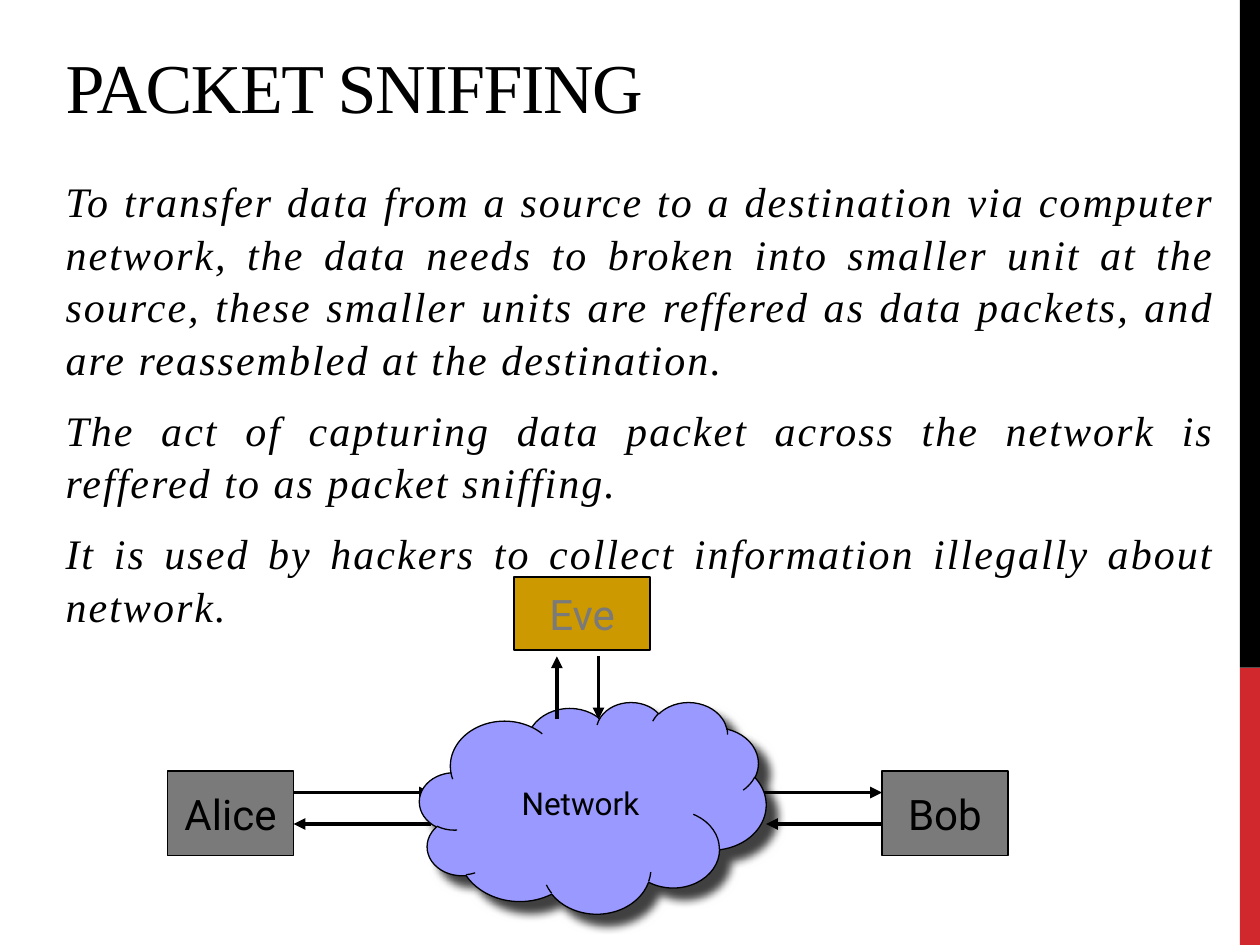
from lxml import etree
from pptx import Presentation
from pptx.dml.color import RGBColor
from pptx.enum import shapes, text
from pptx.oxml import ns
from pptx.util import Inches, Pt

SERIF, SANS = "Times New Roman", "Roboto"
BLACK, GREY, RED, GOLD, LILAC = "000000", "7A7A7A", "D1282E", "CC9900", "9999FF"
PACKETS = [
    "To transfer data from a source to a destination via computer network, the data needs "
    "to broken into smaller unit at the source, these smaller units are reffered as data "
    "packets, and are reassembled at the destination.",
    "The act of capturing data packet across the network is reffered to as packet sniffing.",
    "It is used by hackers to collect information illegally about network.",
]


def rgb(code):
    """Return the colour for a hex string."""
    return RGBColor.from_string(code)


def add_xml(parent, tag, **attributes):
    """Append a DrawingML element and return it."""
    return etree.SubElement(parent, ns.qn(tag), attributes)


def write(frame, paragraphs, font, size, color=BLACK, italic=False, tracking=0,
          align=text.PP_ALIGN.CENTER, anchor=text.MSO_ANCHOR.MIDDLE,
          wrap=True, before=0, after=0, leading=1.0):
    """Fill a text frame with evenly formatted paragraphs."""
    frame.word_wrap = wrap
    frame.auto_size = text.MSO_AUTO_SIZE.NONE
    frame.vertical_anchor = anchor
    for index, words in enumerate(paragraphs):
        paragraph = frame.add_paragraph() if index else frame.paragraphs[0]
        paragraph.alignment = align
        paragraph.space_before, paragraph.space_after = Pt(before), Pt(after)
        paragraph.line_spacing = leading
        run = paragraph.add_run()
        run.text = words
        run.font.name, run.font.size, run.font.italic = font, Pt(size), italic
        run.font.color.rgb = rgb(color)
        if tracking:
            run.font._element.set("spc", str(round(tracking * 100)))


def place(placeholder, left, top, width, height):
    """Move and size a placeholder."""
    placeholder.left, placeholder.top = Inches(left), Inches(top)
    placeholder.width, placeholder.height = Inches(width), Inches(height)


def add_block(slide, kind, left, top, width, height, fill, outlined=True):
    """Add a flat filled shape, outlined in black if wanted."""
    block = slide.shapes.add_shape(kind, Inches(left), Inches(top), Inches(width), Inches(height))
    block.shadow.inherit = False
    block.fill.solid()
    block.fill.fore_color.rgb = rgb(fill)
    if outlined:
        block.line.color.rgb = rgb(BLACK)
        block.line.width = Pt(0.75)
    else:
        block.line.fill.background()
    return block


def add_party(slide, name, left, top, width, height, fill, color=BLACK):
    """Add a labelled box for one party on the network."""
    party = add_block(slide, shapes.MSO_SHAPE.RECTANGLE, left, top, width, height, fill)
    write(party.text_frame, [name], SANS, 24, color, wrap=False)


def add_arrow(slide, x1, y1, x2, y2):
    """Add a straight arrow that points at its second end."""
    arrow = slide.shapes.add_connector(
        shapes.MSO_CONNECTOR.STRAIGHT, Inches(x1), Inches(y1), Inches(x2), Inches(y2))
    arrow.line.color.rgb = rgb(BLACK)
    arrow.line.width = Pt(2.25)
    add_xml(arrow.line._get_or_add_ln(), "a:tailEnd", type="triangle")
    add_xml(arrow._element.spPr, "a:effectLst")


def add_network(slide):
    """Add the network cloud with its soft shadow."""
    cloud = add_block(slide, shapes.MSO_SHAPE.CLOUD, 3.33, 5.57, 2.75, 1.68, LILAC)
    effects = cloud._element.spPr.find(ns.qn("a:effectLst"))
    shadow = add_xml(effects, "a:outerShdw", blurRad=str(Pt(5)), dist=str(Pt(8.5)),
                     dir="2700000", algn="ctr", rotWithShape="0")
    add_xml(add_xml(shadow, "a:srgbClr", val=BLACK), "a:alpha", val="75000")
    write(cloud.text_frame, ["Network"], SANS, 18)


def main():
    """Build the slide and save it."""
    deck = Presentation()
    deck.slide_width, deck.slide_height = Inches(10), Inches(7.5)
    slide = deck.slides.add_slide(deck.slide_layouts[0])
    title, body = slide.placeholders

    place(title, 0.42, 0.25, 9.33, 0.86)
    write(title.text_frame, ["PACKET SNIFFING"], SERIF, 40, tracking=-0.8,
          align=text.PP_ALIGN.LEFT)
    place(body, 0.42, 1.33, 9.33, 5.75)
    write(body.text_frame, PACKETS, SERIF, 24, italic=True, tracking=1.2,
          align=text.PP_ALIGN.JUSTIFY, anchor=text.MSO_ANCHOR.TOP,
          before=4.8, after=6, leading=1.04)

    for top, height, color in ((5.3, 2.2, RED), (0, 5.3, BLACK)):
        add_block(slide, shapes.MSO_SHAPE.RECTANGLE, 9.84, top, 0.16, height, color, False)

    add_party(slide, "Alice", 1.33, 6.12, 1, 0.67, GREY)
    add_party(slide, "Bob", 7, 6.12, 1, 0.67, GREY)
    add_party(slide, "Eve", 4.08, 4.58, 1.08, 0.58, GOLD, GREY)

    outbound, inbound = 6.29, 6.54
    add_arrow(slide, 2.33, outbound, 3.42, outbound)
    add_arrow(slide, 5.92, outbound, 7, outbound)
    add_arrow(slide, 7, inbound, 6.08, inbound)
    add_arrow(slide, 3.42, inbound, 2.33, inbound)
    add_network(slide)
    add_arrow(slide, 4.42, 5.71, 4.42, 5.21)
    add_arrow(slide, 4.75, 5.21, 4.75, 5.71)

    deck.save("out.pptx")


if __name__ == "__main__":
    main()
